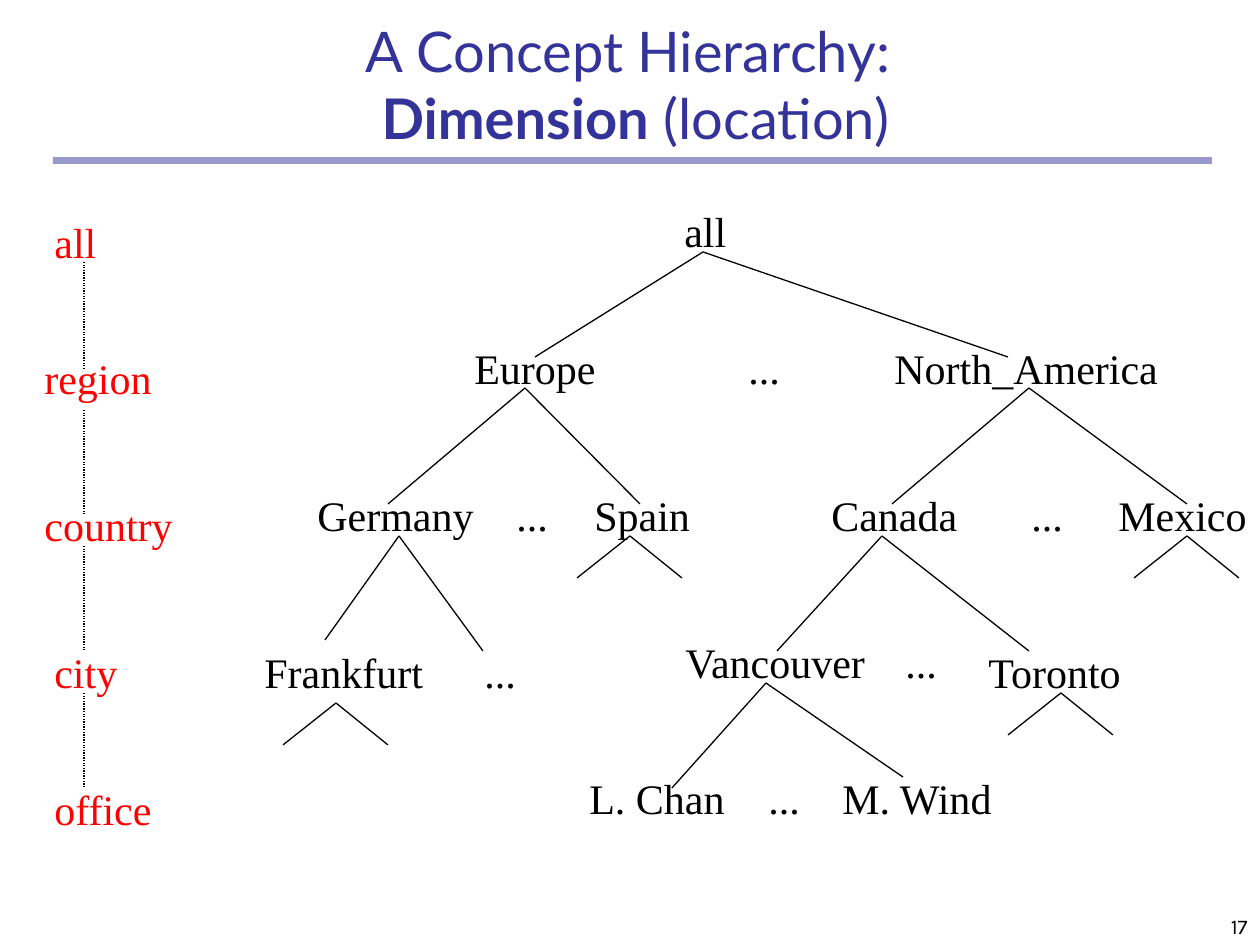
from lxml import etree
from pptx import Presentation
from pptx import util as u
from pptx.dml.color import RGBColor
from pptx.enum import dml, shapes, text
from pptx.oxml.ns import qn

SCALE = 914400 // 126
COLORS = {"title": "333399", "level": "FF0000", "ink": "000000"}
FONTS = {"title": "Lato", "body": "Times New Roman", "number": "Karla"}


class ConceptSlide:
    """Holds the style and the slide being built."""

    def __init__(self, presentation):
        """Add a title-only slide."""
        self.slide = presentation.slides.add_slide(presentation.slide_layouts[5])

    def px(self, *lengths):
        """Turn pixels into EMU."""
        return [u.Emu(length * SCALE) for length in lengths]

    def format_font(self, font, color, **values):
        """Set a font's colour and its other values."""
        font.color.rgb = RGBColor.from_string(COLORS[color])
        for name, value in values.items():
            setattr(font, name, value)

    def title(self, box, first_line, bold_part, rest):
        """Place the title and fill in its two lines."""
        shape = self.slide.shapes.title
        shape.left, shape.top, shape.width, shape.height = self.px(*box)
        frame = shape.text_frame
        frame.vertical_anchor = text.MSO_ANCHOR.BOTTOM
        frame.auto_size = text.MSO_AUTO_SIZE.NONE
        paragraph = frame.paragraphs[0]
        paragraph.alignment = text.PP_ALIGN.CENTER
        for part, bold in ((first_line, False), (bold_part, True), (rest, False)):
            run = paragraph.add_run()
            run.text = part
            self.format_font(run.font, "title", name=FONTS["title"],
                             size=u.Pt(32), bold=bold)
            if part == first_line:
                paragraph.add_line_break()

    def bar(self, box):
        """Draw the half-transparent bar below the title."""
        shape = self.slide.shapes.add_shape(
            shapes.MSO_SHAPE.RECTANGLE, *self.px(*box))
        shape.shadow.inherit = False
        shape.line.fill.background()
        shape.fill.solid()
        shape.fill.fore_color.rgb = RGBColor.from_string(COLORS["title"])
        color = shape.fill._xPr.find(qn("a:solidFill"))[0]
        etree.SubElement(color, qn("a:alpha"), val="50000")

    def label(self, words, left, top, width, color="ink"):
        """Write one node or level name on a single line."""
        box = self.slide.shapes.add_textbox(*self.px(left, top, width, 63))
        frame = box.text_frame
        frame.word_wrap = False
        frame.auto_size = text.MSO_AUTO_SIZE.SHAPE_TO_FIT_TEXT
        run = frame.paragraphs[0].add_run()
        run.text = words
        self.format_font(run.font, color, name=FONTS["body"], size=u.Pt(24))

    def slide_number(self, box, number):
        """Write the slide number at the lower right."""
        frame = self.slide.shapes.add_textbox(*self.px(*box)).text_frame
        frame.word_wrap = True
        frame.vertical_anchor = text.MSO_ANCHOR.BOTTOM
        paragraph = frame.paragraphs[0]
        paragraph.alignment = text.PP_ALIGN.RIGHT
        run = paragraph.add_run()
        run.text = number
        self.format_font(run.font, "ink", name=FONTS["number"], size=u.Pt(12))

    def line(self, start, end, dash=None):
        """Draw a thin straight line."""
        connector = self.slide.shapes.add_connector(
            shapes.MSO_CONNECTOR.STRAIGHT, *self.px(*start, *end))
        connector.line.color.rgb = RGBColor.from_string(COLORS["ink"])
        connector.line.width = u.Pt(0.74)
        if dash:
            connector.line.dash_style = dash
        etree.SubElement(connector._element.spPr, qn("a:effectLst"))

    def fork(self, apex, *ends):
        """Draw branches to the ends, or a short stub pair if none are given."""
        x, y = apex
        for end in ends or ((x - 53, y + 42), (x + 52, y + 42)):
            self.line(apex, end)


# Text, left, width of the nodes that share a top
NODES = {
    199: [("all", 672, 70)],
    336: [("Europe", 462, 149), ("...", 736, 60), ("North_America", 882, 292)],
    483: [("Germany", 305, 184), ("...", 504, 60), ("Spain", 582, 124),
          ("Canada", 819, 154), ("...", 1019, 60), ("Mexico", 1106, 157)],
    630: [("Vancouver", 673, 212), ("...", 893, 60)],
    640: [("Frankfurt", 252, 187), ("...", 472, 60), ("Toronto", 976, 163)],
    766: [("L. Chan", 577, 163), ("...", 756, 60), ("M. Wind", 830, 179)],
}
LEVELS = [("all", 42, 210, 70), ("region", 32, 346, 135),
          ("country", 32, 493, 157), ("city", 42, 640, 91),
          ("office", 42, 777, 125)]
FORKS = [
    [(703, 252), (535, 357), (1008, 357)],
    [(525, 388), (388, 504), (640, 504)],
    [(1029, 388), (892, 504), (1187, 504)],
    [(399, 536), (325, 640), (483, 651)],
    [(882, 536), (777, 651), (1029, 651)],
    [(766, 683), (672, 788), (903, 777)],
    [(630, 536)], [(1187, 536)], [(336, 703)], [(1061, 693)],
]
LEVEL_LINKS = [(262, 368), (410, 514), (546, 651), (693, 788)]

presentation = Presentation()
presentation.slide_width, presentation.slide_height = u.Inches(10), u.Inches(7.5)
hierarchy = ConceptSlide(presentation)
hierarchy.bar((53, 157, 1159, 7))
hierarchy.slide_number((998, 882, 262, 63), "17")
hierarchy.title((84, 73, 1103, 84), "A Concept Hierarchy: ", "Dimension", " (location)")
for top, nodes in NODES.items():
    for words, left, width in nodes:
        hierarchy.label(words, left, top, width)
for fork in FORKS:
    hierarchy.fork(*fork)
for level in LEVELS:
    hierarchy.label(*level, color="level")
for start, end in LEVEL_LINKS:
    hierarchy.line((84, start), (84, end), dml.MSO_LINE.ROUND_DOT)
presentation.save("out.pptx")
